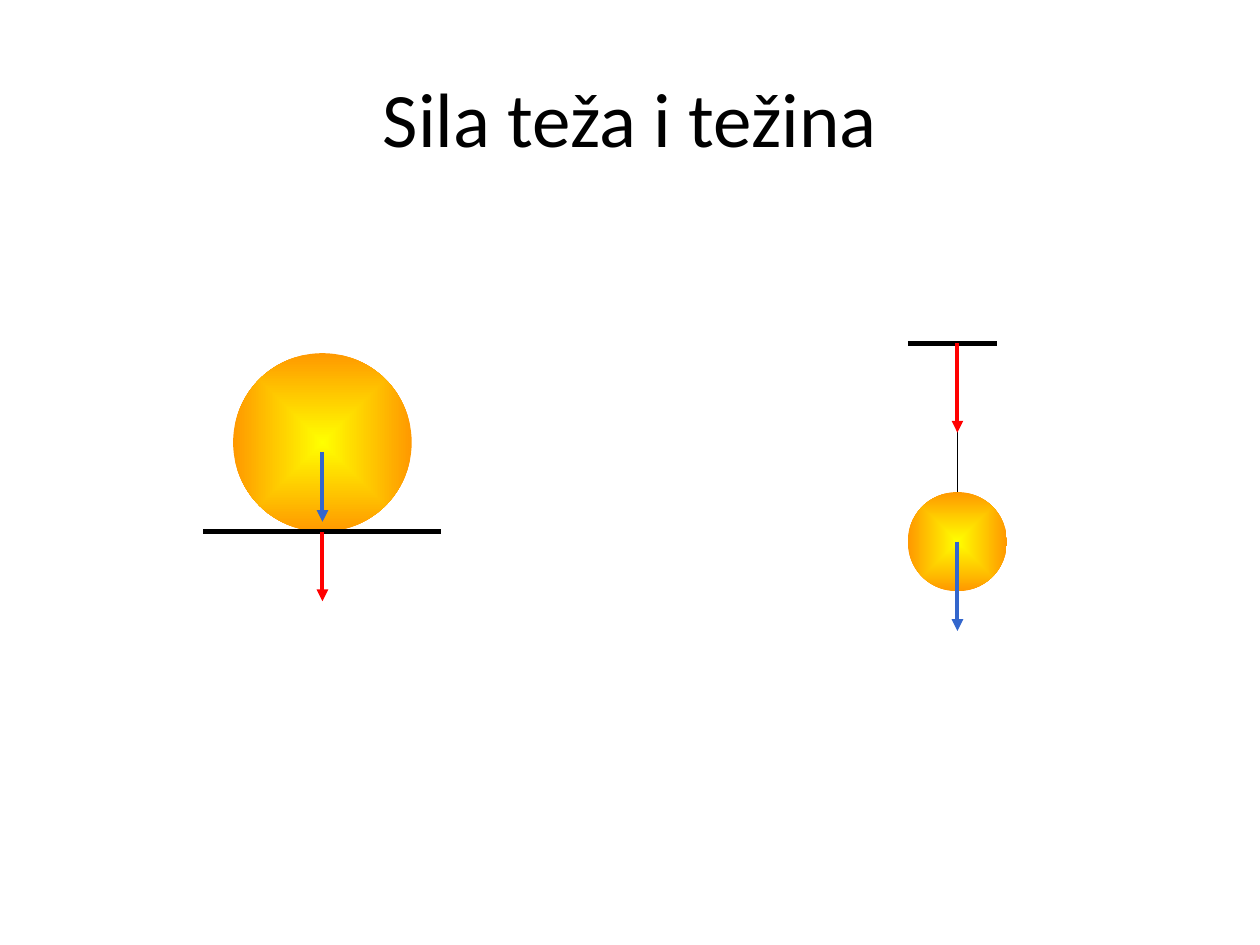
from dataclasses import dataclass
from typing import Any

from lxml import etree
from pptx import Presentation
from pptx import util as u
from pptx.dml.color import RGBColor
from pptx.enum import shapes, text
from pptx.oxml.ns import qn


@dataclass(frozen=True)
class Theme:
    font: str = "Calibri"
    title_size: float = 44
    ink: str = "000000"
    ball_centre: str = "FFFF00"
    ball_edge: str = "FF9900"
    gravity: str = "3366CC"
    weight: str = "FF0000"
    thick: float = 3
    arrow: float = 2.25
    thin: float = 0.75


@dataclass(frozen=True)
class Ball:
    """Circle centred on its axis; top and size are in grid cells."""
    axis: int
    top: int
    size: int


@dataclass(frozen=True)
class Line:
    """Grid line running from start to end (column, row)."""
    start: tuple[int, int]
    end: tuple[int, int]
    color: str
    width: float
    arrow: bool = False


THEME = Theme()
CELL = u.Cm(0.2)
LEFT, TOP = u.Cm(6.5), u.Cm(6.92)  # grid origin: axis of the resting ball, ceiling level
REST, HANG = 0, 64  # columns of the two axes
FLOOR = 19


def x(col: float) -> int:
    return int(LEFT + col * CELL)


def y(row: float) -> int:
    return int(TOP + row * CELL)


def add_ball(parent: Any, ball: Ball) -> Any:
    size = ball.size * CELL
    s = parent.add_shape(shapes.MSO_SHAPE.OVAL, x(ball.axis - ball.size / 2),
                         y(ball.top), size, size)
    s.shadow.inherit = False
    s.line.fill.background()
    s.fill.gradient()
    for stop, color in zip(s.fill.gradient_stops, (THEME.ball_centre, THEME.ball_edge)):
        stop.color.rgb = RGBColor.from_string(color)
    # Turn the linear gradient into one that spreads from the centre
    grad = s._element.spPr.find(qn("a:gradFill"))
    grad.remove(grad.find(qn("a:lin")))
    spread = etree.SubElement(grad, qn("a:path"), {"path": "shape"})
    etree.SubElement(spread, qn("a:fillToRect"), dict.fromkeys("ltrb", "50000"))
    return s


def add_line(parent: Any, line: Line) -> Any:
    (x1, y1), (x2, y2) = line.start, line.end
    s = parent.add_connector(shapes.MSO_CONNECTOR.STRAIGHT, x(x1), y(y1), x(x2), y(y2))
    s.line.color.rgb = RGBColor.from_string(line.color)
    s.line.width = u.Pt(line.width)
    if line.arrow:
        etree.SubElement(s.line._get_or_add_ln(), qn("a:tailEnd"), {"type": "triangle"})
    etree.SubElement(s._element.spPr, qn("a:effectLst"))
    return s


def add_force(parent: Any, axis: int, row: int, length: int, color: str) -> None:
    """Draw a downward force arrow."""
    add_line(parent, Line((axis, row), (axis, row + length), color, THEME.arrow, True))


def add_title(parent: Any, prs: Any, title: str) -> None:
    w, h = prs.slide_width, prs.slide_height
    sp = parent.add_textbox(int(w * 0.05), int(h * 0.04), int(w * 0.9), int(h / 6))
    tf = sp.text_frame
    for name, value in {"word_wrap": True, "vertical_anchor": text.MSO_ANCHOR.MIDDLE}.items():
        setattr(tf, name, value)
    p = tf.paragraphs[0]
    p.alignment = text.PP_ALIGN.CENTER
    r = p.add_run()
    r.text = title
    for name, value in {"name": THEME.font, "size": u.Pt(THEME.title_size)}.items():
        setattr(r.font, name, value)
    r.font.color.rgb = RGBColor.from_string(THEME.ink)


def main() -> None:
    prs = Presentation()
    prs.slide_width, prs.slide_height = u.Inches(10), u.Inches(7.5)
    canvas = prs.slides.add_slide(prs.slide_layouts[6]).shapes
    add_title(canvas, prs, "Sila teža i težina")

    resting = canvas.add_group_shape().shapes
    add_ball(resting, Ball(REST, 1, 18))
    add_line(resting, Line((REST - 12, FLOOR), (REST + 12, FLOOR), THEME.ink, THEME.thick))
    add_force(canvas, REST, 11, 7, THEME.gravity)

    hanging = canvas.add_group_shape().shapes
    ball = add_ball(hanging, Ball(HANG, 15, 10))
    add_line(hanging, Line((HANG - 5, 0), (HANG + 4, 0), THEME.ink, THEME.thick))
    string = add_line(hanging, Line((HANG, 15), (HANG, 0), THEME.ink, THEME.thin))
    string.begin_connect(ball, 0)
    add_force(canvas, HANG, 20, 9, THEME.gravity)

    add_force(canvas, REST, FLOOR, 7, THEME.weight)
    add_force(canvas, HANG, 0, 9, THEME.weight)
    prs.save("out.pptx")


if __name__ == "__main__":
    main()
